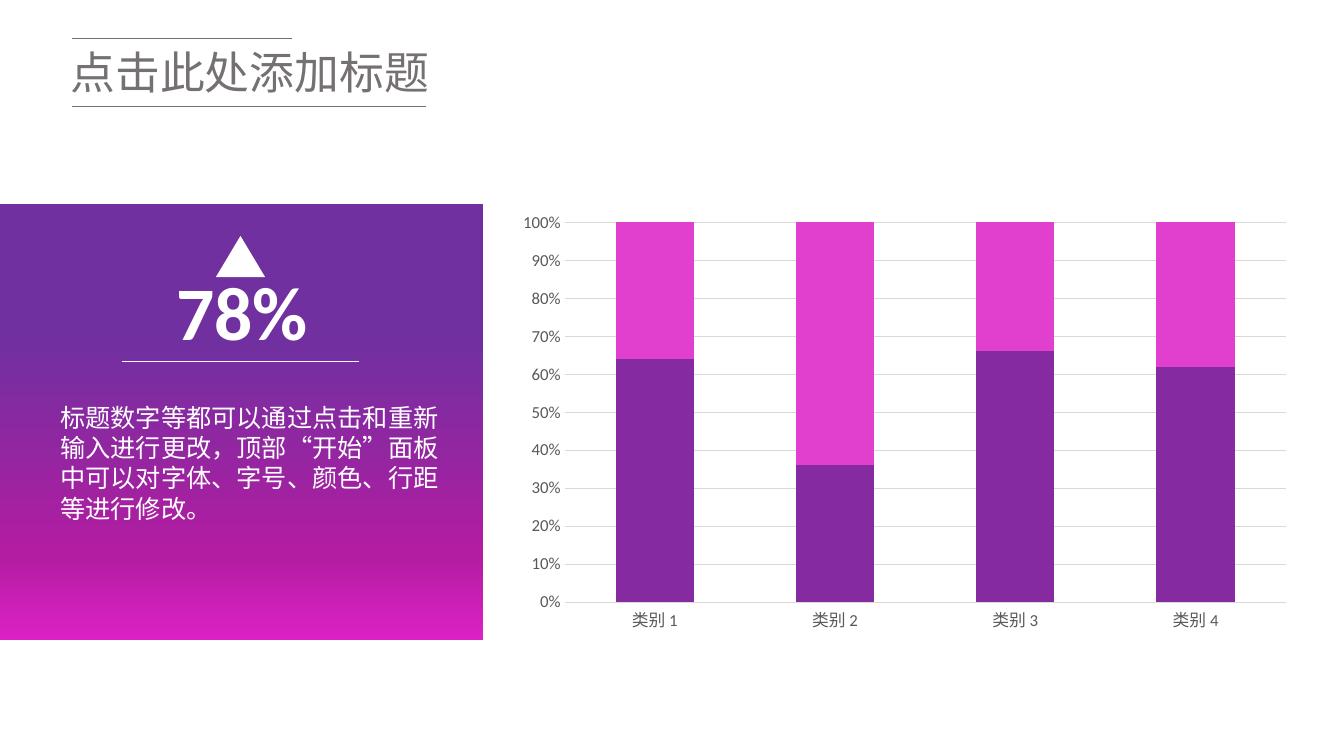
from lxml import etree
from pptx import Presentation
from pptx.chart.data import CategoryChartData
from pptx.dml.color import RGBColor
from pptx.enum.chart import XL_CHART_TYPE, XL_TICK_MARK
from pptx.enum.shapes import MSO_CONNECTOR, MSO_SHAPE
from pptx.enum.text import MSO_ANCHOR, MSO_AUTO_SIZE
from pptx.oxml import parse_xml
from pptx.oxml.ns import qn
from pptx.util import Inches, Pt

STACKED_100 = XL_CHART_TYPE.COLUMN_STACKED_100
NO_TICK = XL_TICK_MARK.NONE
STRAIGHT = MSO_CONNECTOR.STRAIGHT
RECTANGLE, TRIANGLE = MSO_SHAPE.RECTANGLE, MSO_SHAPE.ISOSCELES_TRIANGLE
TOP, MIDDLE = MSO_ANCHOR.TOP, MSO_ANCHOR.MIDDLE
FIT_TEXT = MSO_AUTO_SIZE.SHAPE_TO_FIT_TEXT

WHITE = RGBColor(0xFF, 0xFF, 0xFF)
TITLE_GREY = RGBColor(0x76, 0x71, 0x71)
AXIS_GREY = RGBColor(0x59, 0x59, 0x59)
GRID_GREY = RGBColor(0xD9, 0xD9, 0xD9)
PURPLE = RGBColor(0x85, 0x2A, 0xA1)
PINK = RGBColor(0xE1, 0x3F, 0xCE)
PANEL_STOPS = [
    (0, RGBColor(0x70, 0x30, 0xA0)),
    (31, RGBColor(0x70, 0x30, 0xA0)),
    (81, RGBColor(0xB4, 0x1C, 0xA2)),
    (100, RGBColor(0xDC, 0x22, 0xC6)),
]
LATIN_FONT, CHINESE_FONT = "Calibri", "Noto Sans CJK SC"
BAND_TOP, BAND_HEIGHT = Inches(2.02), Inches(4.33)

prs = Presentation()
prs.slide_width, prs.slide_height = Inches(13.33), Inches(7.5)
slide = prs.slides.add_slide(prs.slide_layouts[6])
shapes = slide.shapes


def add_rule(left, right, y, color):
    """Draw a thin horizontal line; lengths are in inches."""
    rule = shapes.add_connector(STRAIGHT, Inches(left), Inches(y), Inches(right), Inches(y))
    rule.line.color.rgb = color
    rule.line.width = Pt(0.5)
    etree.SubElement(rule._element.spPr, qn("a:effectLst"))


def add_text(text, box, size, font_name, color, bold=False, wrap=True, anchor=TOP):
    """Add a one-paragraph text box; box is left, top, width, height in inches."""
    frame = shapes.add_textbox(*map(Inches, box)).text_frame
    frame.word_wrap = wrap
    frame.vertical_anchor = anchor
    paragraph = frame.paragraphs[0]
    paragraph.text = text
    run = paragraph.runs[0]
    run.font.size, run.font.bold = Pt(size), bold
    run.font.color.rgb = color
    run.font.name = font_name
    latin = run.font._element.find(qn("a:latin"))
    east_asian = etree.Element(qn("a:ea"), typeface=CHINESE_FONT)
    latin.addnext(east_asian)
    return frame


# Title between two rules
add_rule(0.71, 4.23, 1.06, TITLE_GREY)
add_rule(0.71, 2.9, 0.38, TITLE_GREY)
title = add_text("点击此处添加标题", (0.6, 0.47, 3.88, 0.54), 32, CHINESE_FONT,
                 TITLE_GREY, anchor=MIDDLE)
title.paragraphs[0].line_spacing = 0.9

# Share chart
shares = CategoryChartData()
shares.categories = [f"类别 {number}" for number in range(1, 5)]
shares.add_series("Series 1", (64, 36, 66, 62))
shares.add_series("Series 2", (36, 64, 34, 38))
chart = shapes.add_chart(STACKED_100, Inches(5.03), BAND_TOP, Inches(7.88),
                         BAND_HEIGHT, shares).chart
chart.has_legend = False
chart.has_title = False
chart.font.size, chart.font.name = Pt(10), LATIN_FONT
plot = chart.plots[0]
plot.gap_width, plot.overlap = 130, 100
plot.vary_by_categories = False
for series, color in zip(plot.series, (PURPLE, PINK)):
    series.format.fill.solid()
    series.format.fill.fore_color.rgb = color

for axis in (chart.category_axis, chart.value_axis):
    axis.major_tick_mark = axis.minor_tick_mark = NO_TICK
    labels = axis.tick_labels.font
    labels.size, labels.name = Pt(12), LATIN_FONT
    labels.color.rgb = AXIS_GREY
chart.value_axis.has_major_gridlines = True
chart.value_axis.format.line.fill.background()
chart.value_axis.tick_labels.number_format = "0%"
chart.value_axis.tick_labels.number_format_is_linked = False
for line in (chart.category_axis.format.line, chart.value_axis.major_gridlines.format.line):
    line.color.rgb = GRID_GREY
    line.width = Pt(0.75)

# Highlight panel
panel = shapes.add_shape(RECTANGLE, 0, BAND_TOP, Inches(4.79), BAND_HEIGHT)
panel.shadow.inherit = False
panel.line.fill.background()
stops = "".join(
    f'<a:gs pos="{position * 1000}"><a:srgbClr val="{color}"/></a:gs>'
    for position, color in PANEL_STOPS
)
panel._element.spPr.find(qn("a:prstGeom")).addnext(parse_xml(
    '<a:gradFill xmlns:a="http://schemas.openxmlformats.org/drawingml/2006/main" '
    f'rotWithShape="1"><a:gsLst>{stops}</a:gsLst><a:lin ang="5400000" scaled="0"/></a:gradFill>'
))

figure = add_text("78%", (1.65, 2.58, 1.52, 1.01), 54, LATIN_FONT, WHITE,
                  bold=True, wrap=False)
figure.auto_size = FIT_TEXT

up_marker = shapes.add_shape(TRIANGLE, Inches(2.14), Inches(2.34), Inches(0.49), Inches(0.41))
up_marker.shadow.inherit = False
up_marker.fill.solid()
up_marker.fill.fore_color.rgb = WHITE
up_marker.line.fill.background()

add_rule(1.21, 3.56, 3.59, WHITE)
description = add_text(
    "标题数字等都可以通过点击和重新输入进行更改，顶部“开始”面板中可以对字体、字号、颜色、行距等进行修改。",
    (0.5, 3.94, 3.98, 1.31), 18, CHINESE_FONT, WHITE)
description.auto_size = FIT_TEXT

prs.save("out.pptx")
